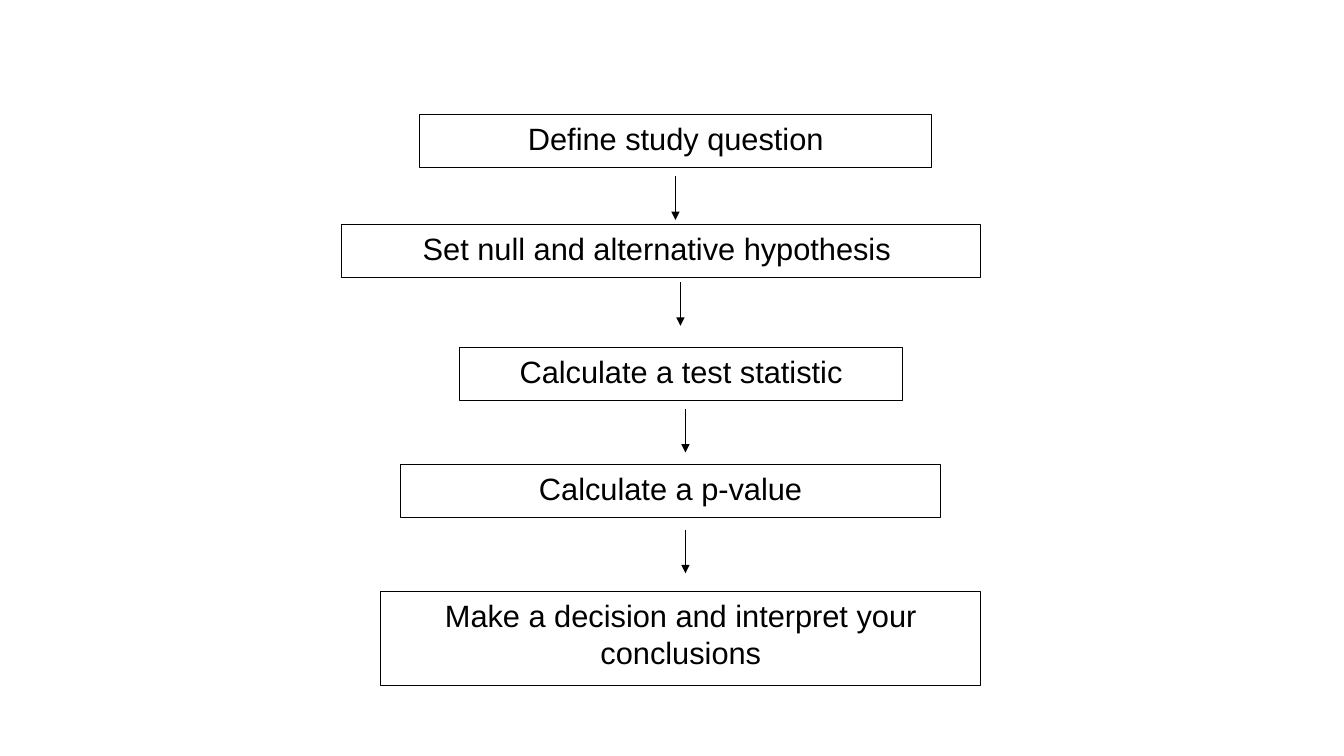
from typing import NamedTuple

from lxml import etree
from pptx import Presentation
from pptx.dml.color import RGBColor
from pptx.enum.shapes import MSO_CONNECTOR, MSO_SHAPE
from pptx.enum.text import MSO_ANCHOR, PP_ALIGN
from pptx.oxml.ns import qn
from pptx.util import Pt

RECT = MSO_SHAPE.RECTANGLE
LINE = MSO_CONNECTOR.STRAIGHT
TOP = MSO_ANCHOR.TOP
CENTER = PP_ALIGN.CENTER

COLORS = {"ink": "000000"}
INK = RGBColor.from_string(COLORS["ink"])
FONT = "Arial"
SIZE = 22
STROKE = 0.75
LOW = 37.5    # height of a step with one line of text
HIGH = 67.5   # height of a step with two lines of text
REACH = 31.2  # length of every arrow


class Step(NamedTuple):
    text: str
    left: float
    top: float
    width: float
    height: float = LOW


class Arrow(NamedTuple):
    x: float
    top: float


STEPS = [
    Step("Define study question", 300, 82, 365.5),
    Step("Set null and alternative hypothesis ", 244, 160.5, 456.5),
    Step("Calculate a test statistic", 328.5, 248.5, 316),
    Step("Calculate a p-value", 286, 332, 386),
    Step("Make a decision and interpret your conclusions",
         272, 422.5, 428.5, HIGH),
]

ARROWS = [
    Arrow(482.5, 126),
    Arrow(486, 201.5),
    Arrow(489.6, 292),
    Arrow(489.6, 378.3),
]


def draw_step(shapes, step: Step) -> None:
    box = shapes.add_shape(RECT, Pt(step.left), Pt(step.top),
                           Pt(step.width), Pt(step.height))
    box.shadow.inherit = False
    box.fill.background()
    box.line.color.rgb = INK
    box.line.width = Pt(STROKE)
    frame = box.text_frame
    frame.word_wrap = True
    frame.vertical_anchor = TOP
    para = frame.paragraphs[0]
    para.text = step.text
    para.alignment = CENTER
    para.font.name = FONT
    para.font.size = Pt(SIZE)
    para.font.color.rgb = INK


def draw_arrow(shapes, arrow: Arrow) -> None:
    link = shapes.add_connector(LINE, Pt(arrow.x), Pt(arrow.top),
                                Pt(arrow.x), Pt(arrow.top + REACH))
    link.line.color.rgb = INK
    link.line.width = Pt(STROKE)
    # Arrowhead at the lower end, and no shadow
    props = link.line._get_or_add_ln()
    etree.SubElement(props, qn("a:tailEnd"), type="triangle")
    etree.SubElement(link._element.spPr, qn("a:effectLst"))


def main() -> None:
    deck = Presentation()
    deck.slide_width = Pt(960)
    deck.slide_height = Pt(540)
    shapes = deck.slides.add_slide(deck.slide_layouts[6]).shapes

    # Steps of the test, from top to bottom
    for step in STEPS:
        draw_step(shapes, step)

    # Arrows in the gaps between the steps
    for arrow in ARROWS:
        draw_arrow(shapes, arrow)

    deck.save("out.pptx")


if __name__ == "__main__":
    main()
